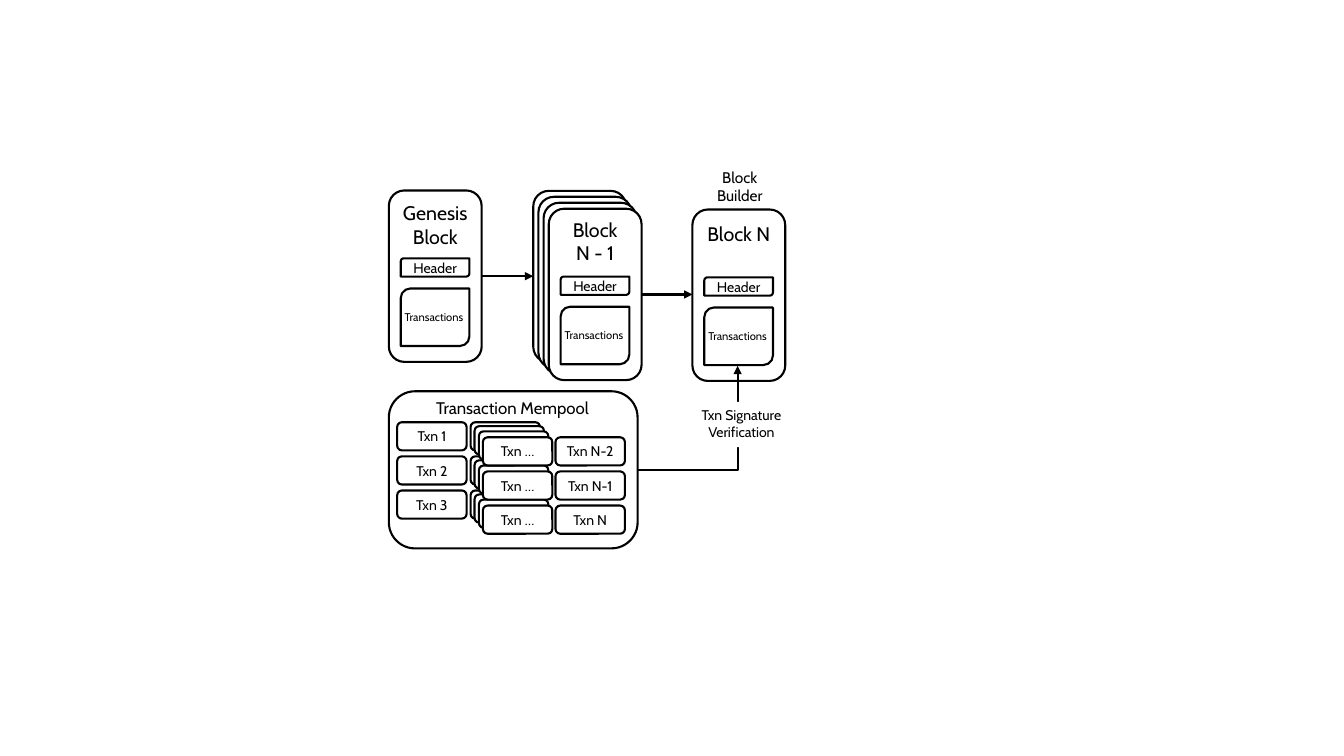
import dataclasses
import typing

import lxml.etree
import pptx
import pptx.dml.color
import pptx.enum.shapes
import pptx.enum.text
import pptx.oxml.ns
import pptx.shapes.autoshape
import pptx.shapes.connector
import pptx.slide
import pptx.util

Cm = pptx.util.Cm
Kind = pptx.enum.shapes.MSO_SHAPE
Link = pptx.enum.shapes.MSO_CONNECTOR
Align = pptx.enum.text.PP_ALIGN


@dataclasses.dataclass(frozen=True)
class Theme:
    """Colours, font, type sizes and line width."""
    ink: pptx.dml.color.RGBColor = pptx.dml.color.RGBColor(0, 0, 0)
    paper: pptx.dml.color.RGBColor = pptx.dml.color.RGBColor(255, 255, 255)
    font: str = "Cabin"
    block_title: int = 14
    pool_title: int = 12
    role: int = 11
    label: int = 10
    small: int = 8
    line: float = 1.5


@dataclasses.dataclass(frozen=True)
class Area:
    """A rectangle in centimetres."""
    left: float
    top: float
    width: float
    height: float

    def lengths(self) -> list[pptx.util.Length]:
        """Return the four lengths in the order that shapes take them."""
        return [Cm(value) for value in dataclasses.astuple(self)]


@dataclasses.dataclass(frozen=True)
class Block:
    """A block of the chain, with the layers stacked behind it."""
    left: float
    top: float
    title: str
    title_drop: float
    title_height: float
    layers_behind: int = 0


@dataclasses.dataclass(frozen=True)
class TxnColumn:
    """A column of transactions in the mempool."""
    left: float
    top: float
    names: tuple[str, ...]


THEME = Theme()
BLOCK_WIDTH, BLOCK_HEIGHT = 2.34, 4.32
LAYER_RIGHT, LAYER_DOWN = 0.13, 0.15
TXN_WIDTH, TXN_HEIGHT, TXN_STEP = 1.75, 0.71, 0.86
POOL = Area(9.8, 9.86, 6.27, 3.96)
BLOCKS = (
    Block(9.8, 4.8, "Genesis Block", 0.15, 1.45),
    Block(13.83, 5.26, "Block\nN - 1", 0.1, 1.45, 3),
    Block(17.45, 5.28, "Block N", 0.18, 0.86),
)
BLANK = ("", "", "")
TXN_COLUMNS = (
    TxnColumn(10.01, 10.64, ("Txn 1", "Txn 2", "Txn 3")),
    TxnColumn(11.86, 10.64, BLANK),
    TxnColumn(14.0, 11.02, ("Txn N-2", "Txn N-1", "Txn N")),
    TxnColumn(11.96, 10.74, BLANK),
    TxnColumn(12.07, 10.87, BLANK),
    TxnColumn(12.17, 11.02, ("Txn …",) * 3),
)


def write(shape: pptx.shapes.autoshape.Shape, text: str, size: int, align: typing.Optional[Align]) -> None:
    """Put styled text into a shape."""
    frame = shape.text_frame
    frame.word_wrap = True
    frame.text = text
    for para in frame.paragraphs:
        para.alignment = align
        for span in para.runs:
            span.font.name = THEME.font
            span.font.size = pptx.util.Pt(size)
            span.font.color.rgb = THEME.ink


def add_outline(page: pptx.slide.Slide, area: Area, kind: Kind = Kind.ROUNDED_RECTANGLE, text: str = "") -> None:
    """Draw an outlined shape with an optional centred label."""
    shape = page.shapes.add_shape(kind, *area.lengths())
    shape.shadow.inherit = False
    shape.fill.solid()
    shape.fill.fore_color.rgb = THEME.paper
    shape.line.color.rgb = THEME.ink
    shape.line.width = pptx.util.Pt(THEME.line)
    if text:
        shape.text_frame.vertical_anchor = pptx.enum.text.MSO_ANCHOR.MIDDLE
        write(shape, text, THEME.label, Align.CENTER)


def add_text(
    page: pptx.slide.Slide, area: Area, text: str, size: int, align: typing.Optional[Align] = Align.CENTER
) -> pptx.shapes.autoshape.Shape:
    """Add a text box that grows with its text."""
    box = page.shapes.add_textbox(*area.lengths())
    write(box, text, size, align)
    box.text_frame.auto_size = pptx.enum.text.MSO_AUTO_SIZE.SHAPE_TO_FIT_TEXT
    return box


def add_arrow(
    page: pptx.slide.Slide, start: tuple[float, float], end: tuple[float, float], kind: Link = Link.STRAIGHT
) -> pptx.shapes.connector.Connector:
    """Draw a connector with a triangle at its end."""
    arrow = page.shapes.add_connector(kind, *(Cm(value) for value in start + end))
    arrow.line.color.rgb = THEME.ink
    arrow.line.width = pptx.util.Pt(THEME.line)
    qn = pptx.oxml.ns.qn
    properties = arrow._element.spPr
    lxml.etree.SubElement(properties.find(qn("a:ln")), qn("a:tailEnd"), type="triangle")
    lxml.etree.SubElement(properties, qn("a:effectLst"))
    return arrow


def add_block(page: pptx.slide.Slide, block: Block) -> None:
    """Draw a block with its title, header and transactions."""
    for depth in range(block.layers_behind, -1, -1):
        left, top = block.left - depth * LAYER_RIGHT, block.top - depth * LAYER_DOWN
        add_outline(page, Area(left, top, BLOCK_WIDTH, BLOCK_HEIGHT))
    title_area = Area(block.left, block.top + block.title_drop, BLOCK_WIDTH, block.title_height)
    add_text(page, title_area, block.title, THEME.block_title)
    inner_left = block.left + 0.3
    add_outline(page, Area(inner_left, block.top + 2.47, 1.73, 1.45), Kind.ROUND_2_DIAG_RECTANGLE)
    add_outline(page, Area(inner_left, block.top + 1.71, 1.73, 0.46), Kind.ROUND_2_DIAG_RECTANGLE, "Header")
    add_text(page, Area(block.left + 0.15, block.top + 2.9, 2.11, 0.61), "Transactions", THEME.small, None)


def add_chain(page: pptx.slide.Slide) -> None:
    """Draw the blocks and the arrows between them."""
    for block in BLOCKS:
        add_block(page, block)
    for source, target in zip(BLOCKS, BLOCKS[1:]):
        middle = source.top + BLOCK_HEIGHT / 2
        target_left = target.left - target.layers_behind * LAYER_RIGHT
        add_arrow(page, (source.left + BLOCK_WIDTH, middle), (target_left, middle))


def add_mempool(page: pptx.slide.Slide) -> None:
    """Draw the mempool and its transactions."""
    add_outline(page, POOL)
    add_text(page, Area(10.74, 9.91, 4.5, 0.76), "Transaction Mempool", THEME.pool_title, None)
    for column in TXN_COLUMNS:
        for row, name in enumerate(column.names):
            area = Area(column.left, column.top + row * TXN_STEP, TXN_WIDTH, TXN_HEIGHT)
            add_outline(page, area, text=name)


def add_verification(page: pptx.slide.Slide) -> None:
    """Draw the block builder label and the path through signature verification."""
    add_text(page, Area(17.78, 4.11, 1.73, 1.19), "Block\nBuilder", THEME.role)
    elbow = add_arrow(page, (POOL.left + POOL.width, 11.84), (18.59, 9.22), Link.ELBOW)
    elbow._element.spPr.find(pptx.oxml.ns.qn("a:prstGeom")).set("prst", "bentConnector2")
    label = add_text(page, Area(17.35, 10.13, 2.67, 1.14), "Txn Signature\nVerification", THEME.label)
    label.fill.solid()
    label.fill.fore_color.rgb = THEME.paper


def main() -> None:
    """Build the blockchain slide and save it."""
    deck = pptx.Presentation()
    deck.slide_width, deck.slide_height = Cm(33.87), Cm(19.05)
    page = deck.slides.add_slide(deck.slide_layouts[6])
    add_chain(page)
    add_mempool(page)
    add_verification(page)
    deck.save("out.pptx")


if __name__ == "__main__":
    main()
